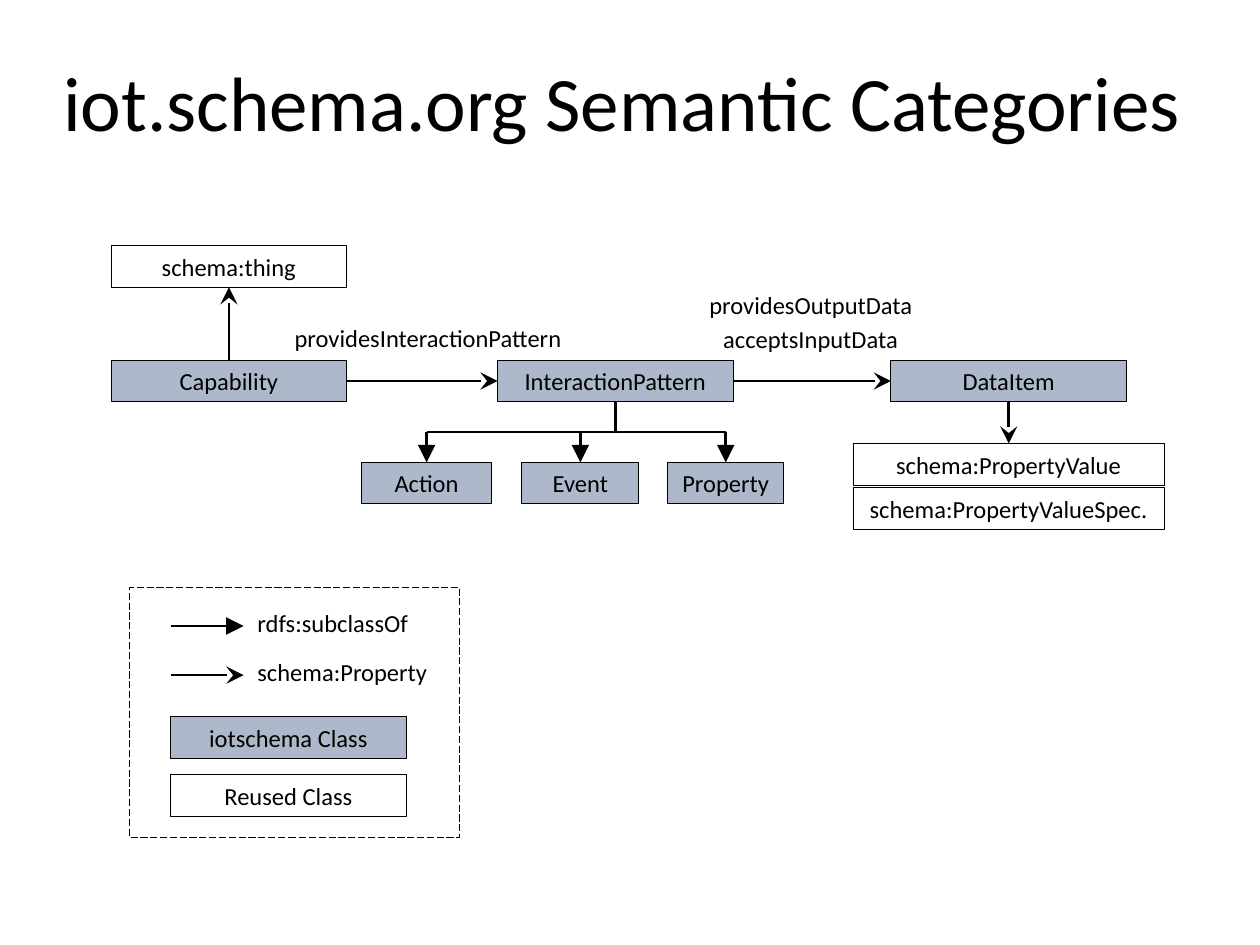
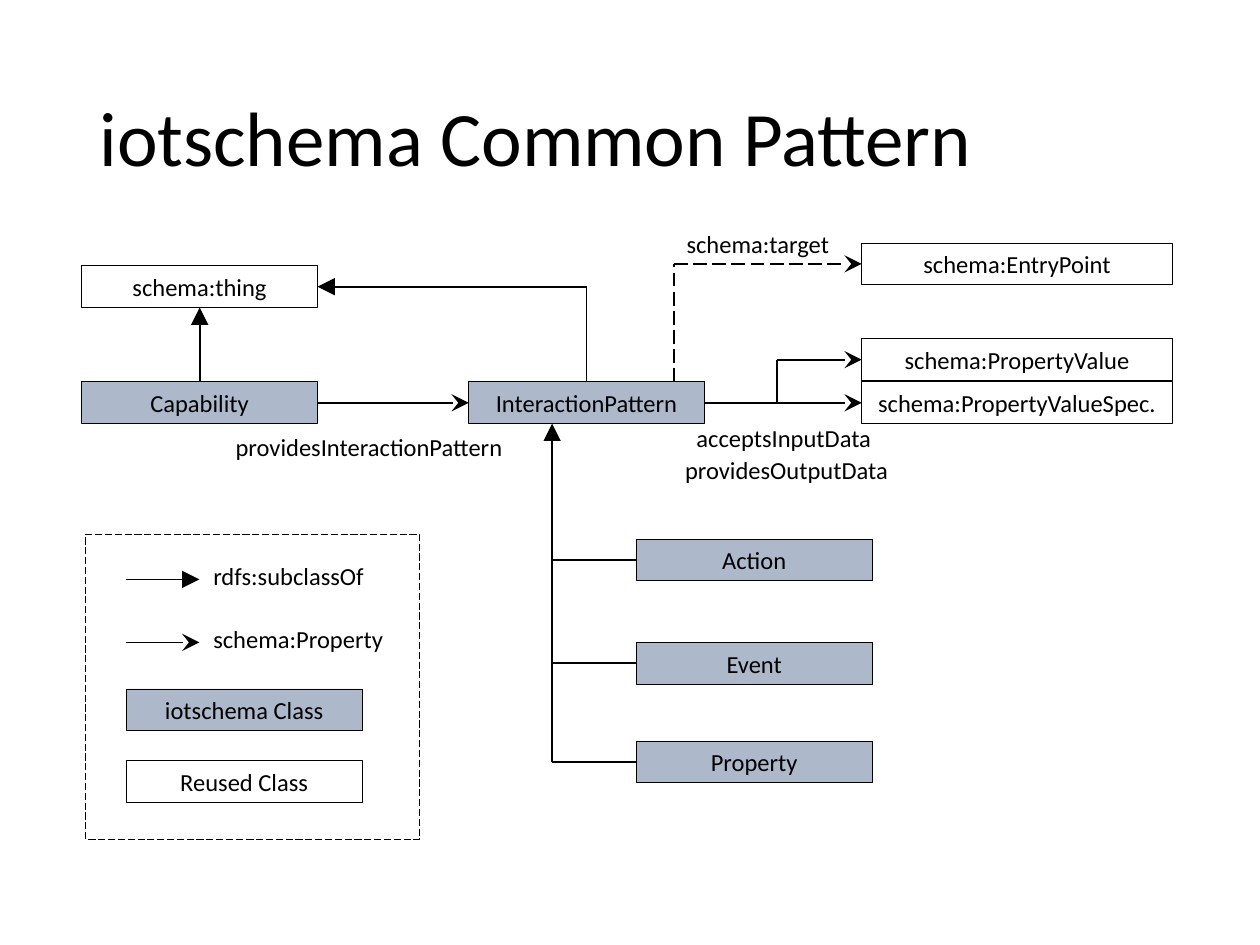
from dataclasses import dataclass
from typing import NamedTuple

from lxml import etree
from pptx import Presentation
from pptx.dml.color import RGBColor
from pptx.enum.dml import MSO_LINE
from pptx.enum.shapes import MSO_CONNECTOR, MSO_SHAPE
from pptx.enum.text import MSO_ANCHOR, MSO_AUTO_SIZE, PP_ALIGN
from pptx.oxml.ns import qn
from pptx.util import Cm, Pt

RECTANGLE = MSO_SHAPE.RECTANGLE
STRAIGHT = MSO_CONNECTOR.STRAIGHT
LONG_DASH = MSO_LINE.LONG_DASH
MIDDLE = MSO_ANCHOR.MIDDLE
LEFT_ALIGN, CENTER_ALIGN = PP_ALIGN.LEFT, PP_ALIGN.CENTER
NO_AUTOSIZE, GROW = MSO_AUTO_SIZE.NONE, MSO_AUTO_SIZE.SHAPE_TO_FIT_TEXT

TITLE_ONLY = 5
TOP, LEFT, BOTTOM, RIGHT = range(4)  # connection sites of a rectangle
SUBCLASS, PROPERTY = "triangle", "stealth"  # arrowheads by relation


@dataclass(frozen=True)
class Theme:
    """Colours, type sizes and standard measures (cm) of the deck."""
    font: str = "Calibri"
    ink: RGBColor = RGBColor(0x00, 0x00, 0x00)
    own: RGBColor = RGBColor(0xAD, 0xB9, 0xCA)
    reused: RGBColor = RGBColor(0xFF, 0xFF, 0xFF)
    title_size: int = 44
    text_size: int = 14
    outline: float = 0.5
    box_width: float = 4.75
    wide_box: float = 6.27
    box_height: float = 0.84
    label_height: float = 0.86


class Joint(NamedTuple):
    """A connection site on a box."""
    box: object
    side: int


def apply(target, values):
    """Set every attribute named in the dict on the target."""
    for name, value in values.items():
        setattr(target, name, value)


def place(*lengths):
    """Turn centimetres into slide lengths."""
    return [Cm(length) for length in lengths]


def site_point(joint):
    """Return the slide position of a joint."""
    box, side = joint
    across = {TOP: 0.5, LEFT: 0, BOTTOM: 0.5, RIGHT: 1}[side]
    down = {TOP: 0, LEFT: 0.5, BOTTOM: 1, RIGHT: 0.5}[side]
    return (int(box.left + box.width * across),
            int(box.top + box.height * down))


def site_cm(box, side):
    """Return the position of a box side in centimetres."""
    return tuple(length / Cm(1) for length in site_point(Joint(box, side)))


class Diagram:
    """Holds the theme and the current slide, and draws on it."""

    def __init__(self, deck, theme):
        self.deck, self.theme = deck, theme
        self.slide, self.arrow_width = None, 1

    def start(self, title, at, arrow_width):
        """Add a slide with its title and its arrow weight."""
        layout = self.deck.slide_layouts[TITLE_ONLY]
        self.slide = self.deck.slides.add_slide(layout)
        self.arrow_width = arrow_width
        heading = self.slide.shapes.title
        apply(heading, dict(zip(("left", "top", "width", "height"),
                                place(*at))))
        apply(heading.text_frame, {"vertical_anchor": MIDDLE,
                                   "word_wrap": True,
                                   "auto_size": NO_AUTOSIZE})
        self.set_text(heading, title, self.theme.title_size, LEFT_ALIGN, 0.9)

    def set_text(self, shape, text, size, alignment, spacing=1.0):
        """Put one styled paragraph into a shape."""
        paragraph = shape.text_frame.paragraphs[0]
        apply(paragraph, {"alignment": alignment, "line_spacing": spacing})
        run = paragraph.add_run()
        run.text = text
        apply(run.font, {"name": self.theme.font, "size": Pt(size)})
        run.font.color.rgb = self.theme.ink

    def stroke(self, line, width, dash=None):
        """Give a line its ink, weight and optional dash."""
        line.color.rgb = self.theme.ink
        line.width = Pt(width)
        if dash:
            line.dash_style = dash

    def rectangle(self, at, fill=None, dash=None):
        """Draw an outlined rectangle, filled or empty."""
        shape = self.slide.shapes.add_shape(RECTANGLE, *place(*at))
        shape.shadow.inherit = False
        if fill is None:
            shape.fill.background()
        else:
            shape.fill.solid()
            shape.fill.fore_color.rgb = fill
        self.stroke(shape.line, self.theme.outline, dash)
        return shape

    def class_box(self, text, left, top, fill, width=None):
        """Draw a class as a box with a centred name."""
        box = self.rectangle((left, top, width or self.theme.box_width,
                              self.theme.box_height), fill)
        apply(box.text_frame, {"vertical_anchor": MIDDLE,
                               "word_wrap": False})
        self.set_text(box, text, self.theme.text_size, CENTER_ALIGN)
        return box

    def own(self, text, left, top, width=None):
        """Draw a class of the schema itself."""
        return self.class_box(text, left, top, self.theme.own, width)

    def reused(self, text, left, top, width=None):
        """Draw a class taken from another schema."""
        return self.class_box(text, left, top, self.theme.reused, width)

    def label(self, text, left, top, width):
        """Add the name of a relation."""
        shape = self.slide.shapes.add_textbox(
            *place(left, top, width, self.theme.label_height))
        apply(shape.text_frame, {"word_wrap": False, "auto_size": GROW})
        self.set_text(shape, text, self.theme.text_size, LEFT_ALIGN)

    def link(self, start, end, head=None, dash=None):
        """Join two points or joints, with an arrowhead if one is named."""
        points = [site_point(stop) if isinstance(stop, Joint)
                  else place(*stop) for stop in (start, end)]
        connector = self.slide.shapes.add_connector(
            STRAIGHT, *points[0], *points[1])
        if isinstance(start, Joint):
            connector.begin_connect(*start)
        if isinstance(end, Joint):
            connector.end_connect(*end)
        self.stroke(connector.line, self.arrow_width, dash)
        properties = connector.element.spPr
        if head:
            etree.SubElement(properties.find(qn("a:ln")), qn("a:tailEnd"),
                             type=head, w="lg", len="lg")
        etree.SubElement(properties, qn("a:effectLst"))

    def legend(self, frame, arrow_rows, box_rows):
        """Explain arrowheads and box fills in a dashed frame."""
        self.rectangle(frame, dash=LONG_DASH)
        left = frame[0] + 0.82
        entries = (("rdfs:subclassOf", SUBCLASS, 3.58),
                   ("schema:Property", PROPERTY, 3.96))
        for (text, head, width), row in zip(entries, arrow_rows):
            self.link((left, row), (left + 1.47, row), head)
            self.label(text, left + 1.5, row - 0.49, width)
        own_row, reused_row = box_rows
        self.own("iotschema Class", left, own_row)
        self.reused("Reused Class", left, reused_row)


def draw_categories(diagram):
    """Draw the slide of semantic categories."""
    diagram.start("iot.schema.org Semantic Categories",
                  (1.02, 0.3, 23.27, 3.68), arrow_width=1.5)
    wide = diagram.theme.wide_box
    main_row = 7.26
    thing = diagram.reused("schema:thing", 2.24, 4.95)
    capability = diagram.own("Capability", 2.24, main_row)
    pattern = diagram.own("InteractionPattern", 10.03, main_row)
    data_item = diagram.own("DataItem", 17.96, main_row)
    value = diagram.reused("schema:PropertyValue", 17.2, 8.94, wide)
    diagram.reused("schema:PropertyValueSpec.", 17.2, 9.83, wide)

    diagram.link(Joint(capability, TOP), Joint(thing, BOTTOM), PROPERTY)
    diagram.link(Joint(capability, RIGHT), Joint(pattern, LEFT), PROPERTY)
    diagram.link(Joint(pattern, RIGHT), Joint(data_item, LEFT), PROPERTY)
    diagram.link(Joint(data_item, BOTTOM), Joint(value, TOP), PROPERTY)

    bus_row = 8.71
    centers = []
    for text, left, width in (("Action", 7.29, 2.62), ("Event", 10.52, 2.36),
                              ("Property", 13.46, 2.34)):
        kind = diagram.own(text, left, 9.32, width)
        centers.append(site_cm(kind, TOP)[0])
        diagram.link((centers[-1], bus_row), Joint(kind, TOP), SUBCLASS)
    diagram.link((centers[0], bus_row), (centers[-1], bus_row))
    diagram.link(Joint(pattern, BOTTOM),
                 (site_cm(pattern, BOTTOM)[0], bus_row))

    diagram.label("providesInteractionPattern", 5.69, 6.38, 5.99)
    diagram.label("providesOutputData", 14.05, 5.72, 4.65)
    diagram.label("acceptsInputData", 14.33, 6.4, 4.06)
    diagram.legend((2.62, 11.84, 6.65, 5.05), (12.62, 13.61), (14.45, 15.62))


def draw_common_pattern(diagram):
    """Draw the slide of the common pattern."""
    diagram.start("iotschema Common Pattern",
                  (1.75, 1.02, 21.9, 3.68), arrow_width=1)
    wide = diagram.theme.wide_box
    main_row, data_left = 7.7, 17.37
    thing = diagram.reused("schema:thing", 1.65, 5.36)
    capability = diagram.own("Capability", 1.65, main_row)
    pattern = diagram.own("InteractionPattern", 9.45, main_row)
    entry, value, value_spec = [
        diagram.reused(text, data_left, top, wide)
        for text, top in (("schema:EntryPoint", 4.9),
                          ("schema:PropertyValue", 6.83),
                          ("schema:PropertyValueSpec.", main_row))]

    diagram.link(Joint(capability, TOP), Joint(thing, BOTTOM), SUBCLASS)
    diagram.link(Joint(capability, RIGHT), Joint(pattern, LEFT), PROPERTY)
    diagram.link(Joint(pattern, RIGHT), Joint(value_spec, LEFT), PROPERTY)

    fork = 15.67
    value_turn = (fork, site_cm(value, LEFT)[1])
    diagram.link((fork, site_cm(pattern, RIGHT)[1]), value_turn)
    diagram.link(value_turn, Joint(value, LEFT), PROPERTY)

    thing_turn = (site_cm(pattern, TOP)[0], site_cm(thing, RIGHT)[1])
    diagram.link(Joint(pattern, TOP), thing_turn)
    diagram.link(thing_turn, Joint(thing, RIGHT), SUBCLASS)

    target_turn = (13.59, site_cm(entry, LEFT)[1])
    diagram.link((target_turn[0], main_row), target_turn, dash=LONG_DASH)
    diagram.link(target_turn, Joint(entry, LEFT), PROPERTY, LONG_DASH)

    trunk = 11.13
    for text, top in (("Action", 10.87), ("Event", 12.95),
                      ("Property", 14.94)):
        kind = diagram.own(text, 12.83, top)
        branch = (trunk, site_cm(kind, LEFT)[1])
        diagram.link(branch, Joint(kind, LEFT))
    diagram.link(branch, (trunk, site_cm(pattern, BOTTOM)[1]), SUBCLASS)

    diagram.label("schema:target", 13.59, 4.5, 3.43)
    diagram.label("acceptsInputData", 13.79, 8.41, 4.06)
    diagram.label("providesOutputData", 13.56, 9.04, 4.65)
    diagram.label("providesInteractionPattern", 4.5, 8.59, 5.99)
    diagram.legend((1.73, 10.77, 6.73, 6.15), (11.68, 12.95), (13.89, 15.34))


def main():
    """Build the deck and save it."""
    deck = Presentation()
    apply(deck, {"slide_width": Cm(25.4), "slide_height": Cm(19.05)})
    diagram = Diagram(deck, Theme())
    draw_categories(diagram)
    draw_common_pattern(diagram)
    deck.save("out.pptx")


main()
